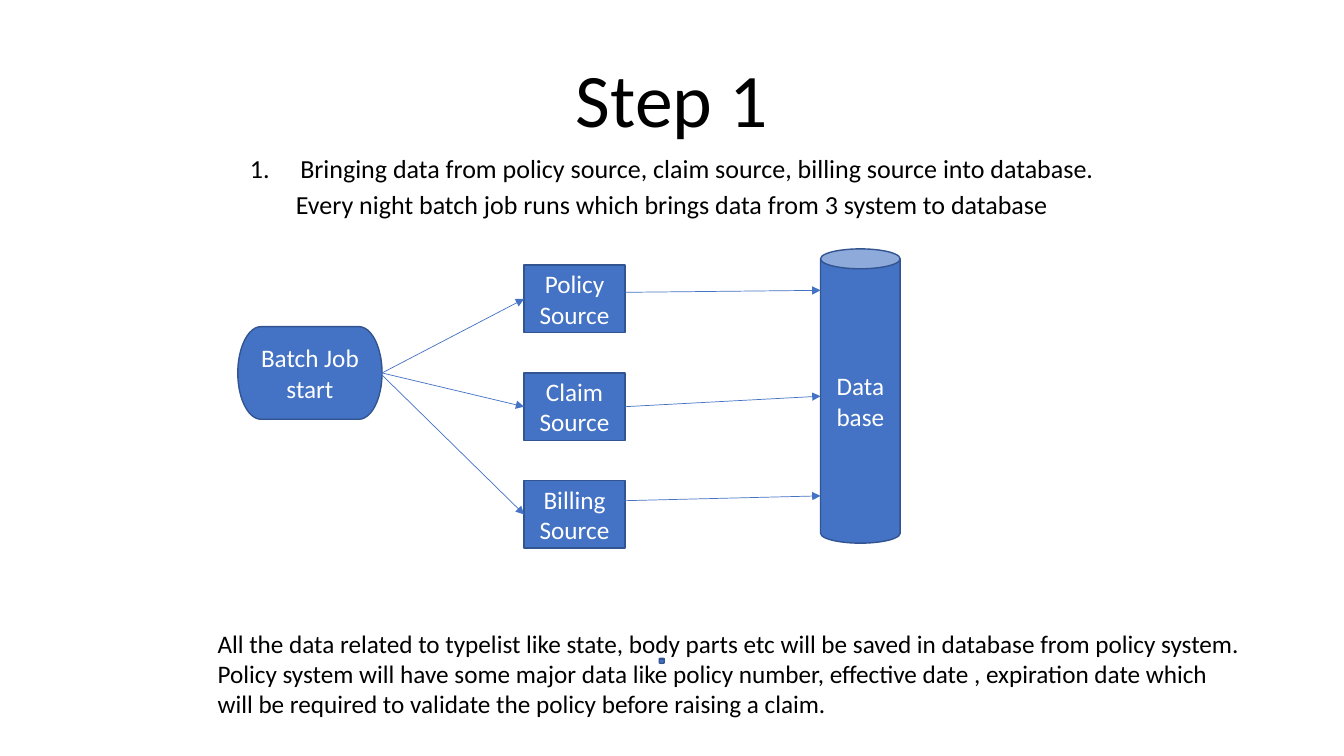
import pptx
import pptx.util
import pptx.dml.color
import pptx.enum.shapes
import pptx.enum.text
import pptx.oxml.ns
import lxml.etree

Pt = pptx.util.Pt
RGBColor = pptx.dml.color.RGBColor
Shape = pptx.enum.shapes.MSO_SHAPE
Align = pptx.enum.text.PP_ALIGN
Anchor = pptx.enum.text.MSO_ANCHOR
Fit = pptx.enum.text.MSO_AUTO_SIZE

BLACK = RGBColor(0x00, 0x00, 0x00)
WHITE = RGBColor(0xFF, 0xFF, 0xFF)
BLUE = RGBColor(0x44, 0x72, 0xC4)
EDGE = RGBColor(0x32, 0x54, 0x91)
FONT = "Calibri"

BOX_LEFT, BOX_TOP, BOX_STEP = 374.4, 189.4, 77
BOX_WIDTH, BOX_HEIGHT = 72, 48.2
SOURCES = ["Policy Source", "Claim\nSource", "Billing Source"]
FEEDS = [(446.4, 208.8, 207.4), (446.4, 290.2, 283), (439.9, 357.8, 354.2)]


def add_tag(parent, name, **attrs):
    return lxml.etree.SubElement(parent, pptx.oxml.ns.qn(name), attrs)


def style(frame, size, color, align):
    for para in frame.paragraphs:
        para.alignment = align
        for run in para.runs:
            run.font.size = Pt(size)
            run.font.name = FONT
            run.font.color.rgb = color


def place(shape, left, top, width, height):
    shape.left, shape.top = Pt(left), Pt(top)
    shape.width, shape.height = Pt(width), Pt(height)


def fill_holder(holder, text, size, spacing, anchor):
    frame = holder.text_frame
    frame.text = text
    frame.auto_size = Fit.NONE
    frame.vertical_anchor = anchor
    for para in frame.paragraphs:
        para.line_spacing = spacing
    style(frame, size, BLACK, Align.CENTER)


def number(para, indent):
    props = para._p.get_or_add_pPr()
    props.set("marL", str(Pt(indent)))
    props.set("indent", str(-Pt(indent)))
    add_tag(props, "a:buFont", typeface="+mj-lt")
    add_tag(props, "a:buAutoNum", type="arabicPeriod")


def add_node(slide, kind, left, top, width, height, text=""):
    node = slide.shapes.add_shape(kind, Pt(left), Pt(top), Pt(width), Pt(height))
    node.shadow.inherit = False
    node.fill.solid()
    node.fill.fore_color.rgb = BLUE
    node.line.color.rgb = EDGE
    node.line.width = Pt(1)
    if text:
        node.text_frame.text = text
        node.text_frame.word_wrap = True
        node.text_frame.vertical_anchor = Anchor.MIDDLE
        style(node.text_frame, 18, WHITE, Align.CENTER)
    return node


def add_arrow(slide, start, end):
    arrow = slide.shapes.add_connector(
        pptx.enum.shapes.MSO_CONNECTOR.STRAIGHT, *map(Pt, start + end))
    arrow.line.color.rgb = BLUE
    arrow.line.width = Pt(0.5)
    add_tag(arrow.line._get_or_add_ln(), "a:tailEnd", type="triangle")
    add_tag(arrow._element.spPr, "a:effectLst")
    return arrow


def add_note(slide, text, left, top, width, height):
    note = slide.shapes.add_textbox(Pt(left), Pt(top), Pt(width), Pt(height))
    frame = note.text_frame
    frame.word_wrap = True
    frame.auto_size = Fit.SHAPE_TO_FIT_TEXT
    frame.text = text
    style(frame, 18, BLACK, Align.LEFT)


def main():
    deck = pptx.Presentation()
    deck.slide_width, deck.slide_height = Pt(960), Pt(540)
    slide = deck.slides.add_slide(deck.slide_layouts[0])

    title, body = slide.placeholders
    place(title, 120, 88.6, 720, 18)
    fill_holder(title, "Step 1", 54, 0.9, Anchor.BOTTOM)
    place(body, 120, 111.6, 720, 50.4)
    fill_holder(
        body,
        "Bringing data from policy source, claim source, billing source into database.\n"
        "Every night batch job runs which brings data from 3 system to database",
        18.6, 0.7, Anchor.TOP)
    for para in body.text_frame.paragraphs:
        para.space_before = Pt(10)
    number(body.text_frame.paragraphs[0], 36)

    add_node(slide, Shape.CAN, 470.9, 470.2, 3.6, 3.6)
    add_node(slide, Shape.CAN, 586.1, 177.8, 56.9, 210.2, "Database")
    batch = add_node(slide, Shape.FLOWCHART_TERMINATOR,
                     169.9, 233.3, 103, 66.2, "Batch Job start")
    boxes = [
        add_node(slide, Shape.FLOWCHART_PROCESS, BOX_LEFT, BOX_TOP + row * BOX_STEP,
                 BOX_WIDTH, BOX_HEIGHT, name)
        for row, name in enumerate(SOURCES)]

    for box in boxes:
        arrow = add_arrow(slide, (270.7, 265.7), (BOX_LEFT, 290))
        arrow.end_connect(box, 1)
        if box is not boxes[-1]:
            arrow.begin_connect(batch, 3)
    feeds = [add_arrow(slide, (left, start), (586.1, end))
             for left, start, end in FEEDS]
    feeds[1].begin_connect(boxes[1], 3)

    add_note(
        slide,
        "All the data related to typelist like state, body parts etc will be saved"
        " in database from policy system.\n"
        "Policy system will have some major data like policy number, effective date ,"
        " expiration date which will be required to validate the policy before"
        " raising a claim.",
        148.3, 445, 749.5, 116.6)

    deck.save("out.pptx")


if __name__ == "__main__":
    main()
